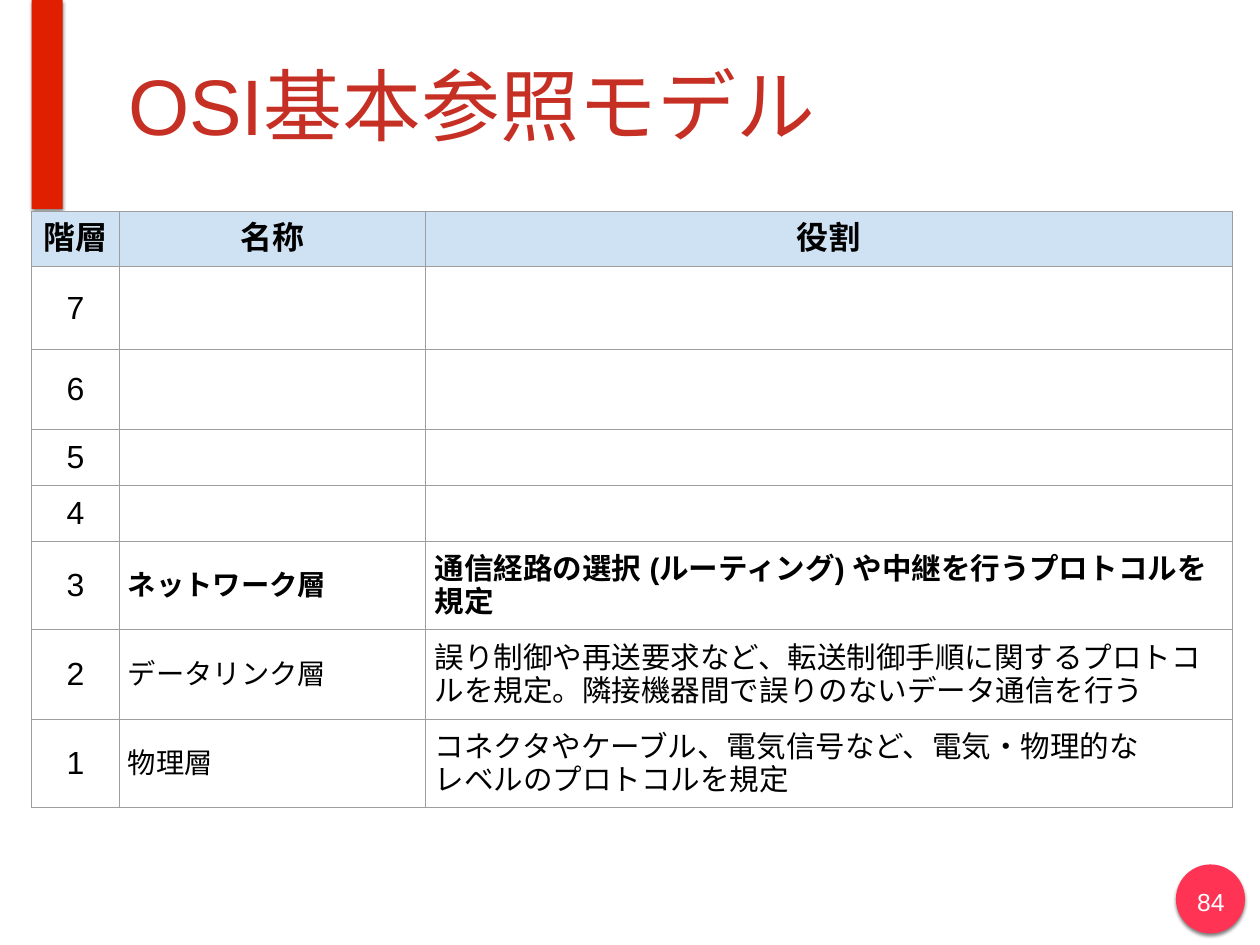
"""Build the OSI reference model slide with its partly filled table of layers."""
from dataclasses import dataclass

from lxml import etree
from pptx import Presentation
from pptx import util as u
from pptx.dml.color import RGBColor
from pptx.enum import shapes, text
from pptx.oxml import ns

TITLE = "OSI基本参照モデル"
PAGE_NUMBER = "84"
HEADINGS = ("階層", "名称", "役割")
LAYERS = [
    ("7", "", ""),
    ("6", "", ""),
    ("5", "", ""),
    ("4", "", ""),
    ("3", "ネットワーク層",
     "通信経路の選択 (ルーティング) や中継を行うプロトコルを規定"),
    ("2", "データリンク層",
     "誤り制御や再送要求など、転送制御手順に関するプロトコルを規定。"
     "隣接機器間で誤りのないデータ通信を行う"),
    ("1", "物理層",
     "コネクタやケーブル、電気信号など、電気・物理的な\nレベルのプロトコルを規定"),
]
BOLD_LAYER = "3"
COLUMN_WIDTHS = (2.51, 8.79, 23.11)
ROW_HEIGHTS = (1.6, 2.36, 2.31, 1.6, 1.6, 2.31, 2.57, 2.31)


@dataclass(frozen=True)
class Theme:
    """Colours, font and type sizes."""
    font: str = "Arial"
    title: str = "C63024"
    bar: str = "DF1F00"
    badge: str = "FF3455"
    on_badge: str = "FFFFFF"
    ink: str = "000000"
    header: str = "CFE2F3"
    border: str = "9E9E9E"
    title_size: int = 64
    badge_size: int = 20
    header_size: int = 26
    column_sizes: tuple = (26, 23, 24)


THEME = Theme()


def add_element(parent, tag, **attributes):
    """Append a drawing element with the given attributes."""
    return etree.SubElement(parent, ns.qn(tag), attributes)


def write(frame, words, size, color=THEME.ink, bold=False, centred=False):
    """Fill a text frame, one paragraph per line."""
    for index, line in enumerate(words.split("\n")):
        para = frame.add_paragraph() if index else frame.paragraphs[0]
        para.alignment = text.PP_ALIGN.CENTER if centred else text.PP_ALIGN.LEFT
        span = para.add_run()
        span.text = line
        span.font.size = u.Pt(size)
        span.font.bold = bold
        span.font.name = THEME.font
        span.font.color.rgb = RGBColor.from_string(color)
        for tag in ("a:ea", "a:cs"):
            add_element(span.font._element, tag, typeface=THEME.font)


def add_box(page, place, words, anchor, **style):
    """Add a wrapping text box with narrow margins."""
    frame = page.shapes.add_textbox(*map(u.Cm, place)).text_frame
    frame.word_wrap = True
    frame.vertical_anchor = anchor
    frame.margin_left = frame.margin_right = u.Cm(0.15)
    frame.margin_top = frame.margin_bottom = u.Cm(0.15)
    write(frame, words, **style)


def add_accent(page, kind, place, color):
    """Add a plain filled shape with a soft shadow below it."""
    shape = page.shapes.add_shape(kind, *map(u.Cm, place))
    shape.fill.solid()
    shape.fill.fore_color.rgb = RGBColor.from_string(color)
    shape.line.fill.background()
    shape.shadow.inherit = False
    effects = shape._element.spPr.find(ns.qn("a:effectLst"))
    shadow = add_element(effects, "a:outerShdw", blurRad=str(u.Pt(3)),
                         dist=str(u.Pt(2)), dir="5400000", rotWithShape="0")
    tint = add_element(shadow, "a:srgbClr", val=THEME.ink)
    add_element(tint, "a:alpha", val="50000")


def format_cell(cell, fill):
    """Set the borders, margins, anchor and fill of a cell."""
    properties = cell._tc.get_or_add_tcPr()
    for side in ("a:lnL", "a:lnR", "a:lnT", "a:lnB"):
        line = add_element(properties, side, w=str(u.Pt(0.75)))
        paint = add_element(line, "a:solidFill")
        add_element(paint, "a:srgbClr", val=THEME.border)
    cell.margin_left = cell.margin_right = u.Cm(0.25)
    cell.margin_top = cell.margin_bottom = u.Cm(0.25)
    cell.vertical_anchor = text.MSO_ANCHOR.MIDDLE
    if fill:
        cell.fill.solid()
        cell.fill.fore_color.rgb = RGBColor.from_string(fill)
    else:
        cell.fill.background()


def add_layers(page):
    """Add the table of layers."""
    rows = [HEADINGS, *LAYERS]
    table = page.shapes.add_table(
        len(rows), len(HEADINGS), u.Cm(0.91), u.Cm(6.05),
        u.Cm(sum(COLUMN_WIDTHS)), u.Cm(sum(ROW_HEIGHTS))).table
    table.first_row = table.horz_banding = False
    for column, width in zip(table.columns, COLUMN_WIDTHS):
        column.width = u.Cm(width)
    for row, height in zip(table.rows, ROW_HEIGHTS):
        row.height = u.Cm(height)
    for r, values in enumerate(rows):
        heading = r == 0
        for c, words in enumerate(values):
            cell = table.cell(r, c)
            format_cell(cell, THEME.header if heading else None)
            if words:
                write(cell.text_frame, words,
                      size=THEME.header_size if heading else THEME.column_sizes[c],
                      bold=heading or (values[0] == BOLD_LAYER and c > 0),
                      centred=heading or c == 0)


def main():
    """Build and save the deck."""
    deck = Presentation()
    deck.slide_width, deck.slide_height = u.Cm(36.12), u.Cm(27.1)
    page = deck.slides.add_slide(deck.slide_layouts[6])
    kinds = shapes.MSO_SHAPE
    add_accent(page, kinds.OVAL, (33.71, 24.79, 1.98, 1.98), THEME.badge)
    add_accent(page, kinds.RECTANGLE, (0.91, 0, 0.89, 5.99), THEME.bar)
    add_box(page, (3.53, 0.3, 30.84, 5.38), TITLE, text.MSO_ANCHOR.MIDDLE,
            size=THEME.title_size, color=THEME.title)
    add_box(page, (34.09, 25.27, 1.24, 1.14), PAGE_NUMBER, text.MSO_ANCHOR.TOP,
            size=THEME.badge_size, color=THEME.on_badge, centred=True)
    add_layers(page)
    deck.save("out.pptx")


if __name__ == "__main__":
    main()
